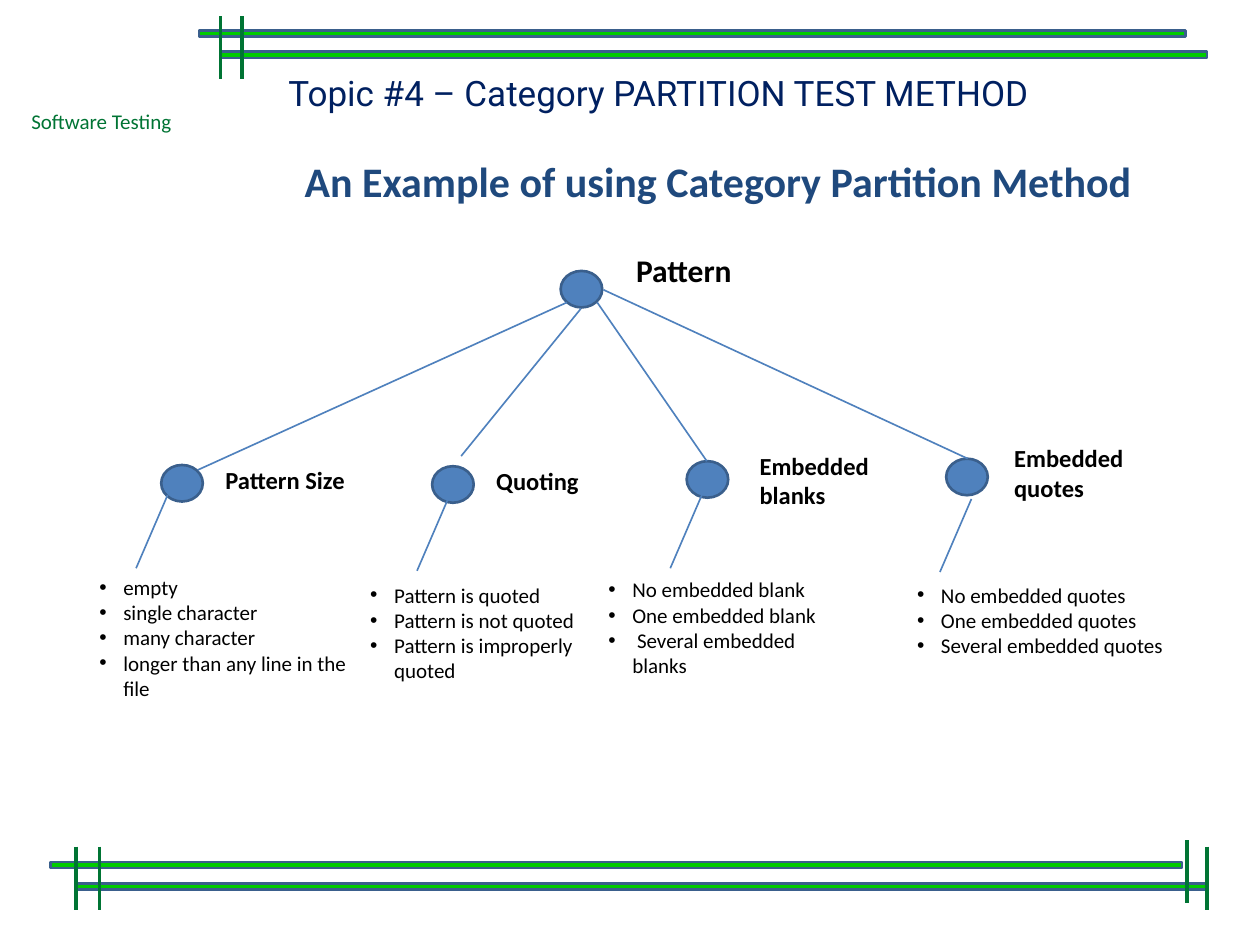
from dataclasses import dataclass

from lxml.etree import SubElement
from pptx import Presentation
from pptx.dml.color import RGBColor
from pptx.enum.shapes import MSO_CONNECTOR, MSO_SHAPE
from pptx.enum.text import MSO_ANCHOR, PP_ALIGN
from pptx.oxml.ns import qn
from pptx.util import Inches, Pt


@dataclass(frozen=True)
class Theme:
    font: str = "Calibri"
    topic_font: str = "Roboto"
    paper: str = "FFFFFF"
    text: str = "000000"
    title: str = "1F497D"
    topic: str = "002060"
    post: str = "007434"
    bar: str = "00CC00"
    node: str = "4F81BD"
    outline: str = "3A5F8C"
    title_size: int = 24
    topic_size: int = 20
    root_size: int = 18
    label_size: int = 14
    body_size: int = 12


def rgb(value):
    return RGBColor.from_string(value)


def add_bullet(p, indent=0.19):
    pPr = p._p.get_or_add_pPr()
    pPr.set("marL", str(Inches(indent)))
    pPr.set("indent", str(-Inches(indent)))
    SubElement(pPr, qn("a:buFont")).set("typeface", "Arial")
    SubElement(pPr, qn("a:buChar")).set("char", "•")


def write_text(tf, lines, *, size, color, font, bold=False, bullet=False,
               align=PP_ALIGN.LEFT, wrap=True):
    tf.word_wrap = wrap
    for i, line in enumerate(lines):
        p = tf.add_paragraph() if i else tf.paragraphs[0]
        p.alignment = align
        if bullet:
            add_bullet(p)
        r = p.add_run()
        r.text = line
        r.font.name = font
        r.font.size = Pt(size)
        r.font.bold = bold
        r.font.color.rgb = rgb(color)


class SlideBuilder:
    def __init__(self, s, theme):
        self.s = s
        self.theme = theme

    def title(self, text, x, y, w, h):
        t = self.theme
        sp = self.s.shapes.title
        sp.left, sp.top, sp.width, sp.height = map(Inches, (x, y, w, h))
        sp.fill.solid()
        sp.fill.fore_color.rgb = rgb(t.paper)
        tf = sp.text_frame
        tf.vertical_anchor = MSO_ANCHOR.MIDDLE
        tf.margin_left = tf.margin_right = Inches(0.16)
        tf.margin_top = tf.margin_bottom = Inches(0.16)
        write_text(tf, [text], size=t.title_size, color=t.title, font=t.font,
                   bold=True, align=PP_ALIGN.CENTER)
        tf.paragraphs[0].line_spacing = 0.9

    def text(self, lines, x, y, w, h, fill=None, **fmt):
        t = self.theme
        sp = self.s.shapes.add_textbox(*map(Inches, (x, y, w, h)))
        if fill:
            sp.fill.solid()
            sp.fill.fore_color.rgb = rgb(fill)
        style = dict(size=t.body_size, color=t.text, font=t.font)
        write_text(sp.text_frame, lines, **{**style, **fmt})

    def shape(self, kind, x, y, w, h, fill):
        sp = self.s.shapes.add_shape(kind, *map(Inches, (x, y, w, h)))
        sp.shadow.inherit = False
        sp.fill.solid()
        sp.fill.fore_color.rgb = rgb(fill)
        sp.line.color.rgb = rgb(self.theme.outline)
        sp.line.width = Pt(1.5)

    def bar(self, x, y, w):
        self.shape(MSO_SHAPE.FLOWCHART_PROCESS, x, y, w, 0.05, self.theme.bar)

    def node(self, x, y):
        self.shape(MSO_SHAPE.OVAL, x, y, 0.33, 0.29, self.theme.node)

    def line(self, start, end, color, width):
        cn = self.s.shapes.add_connector(
            MSO_CONNECTOR.STRAIGHT, *map(Inches, (*start, *end)))
        cn.line.color.rgb = rgb(color)
        cn.line.width = Pt(width)
        SubElement(cn._element.spPr, qn("a:effectLst"))

    def post(self, x, y):
        self.line((x, y), (x, y + 0.5), self.theme.post, 2.25)

    def edge(self, start, end):
        self.line(start, end, self.theme.node, 0.94)


BARS = [(1.58, 0.24, 7.83), (1.75, 0.41, 7.83), (0.4, 6.84, 8.98), (0.6, 7.01, 8.98)]
POSTS = [(1.75, 0.13), (1.92, 0.13), (0.6, 6.72), (0.79, 6.72), (9.58, 6.72), (9.42, 6.67)]

CATEGORIES = [
    dict(node=(1.28, 3.69), edge=((4.5, 2.4), (1.57, 3.73)), stem=(1.33, 3.93),
         label=["Pattern Size"], label_box=(1.69, 3.64, 1.17, 0.34),
         choices=["empty", "single character", "many character",
                  "longer than any line in the file"],
         choice_box=(0.69, 4.51, 2.3, 1.11)),
    dict(node=(3.43, 3.7), edge=((4.61, 2.45), (3.66, 3.62)), stem=(3.56, 3.95),
         label=["Quoting"], label_box=(3.84, 3.65, 0.94, 0.34),
         choices=["Pattern is quoted", "Pattern is not quoted",
                  "Pattern is improperly quoted"],
         choice_box=(2.84, 4.57, 1.94, 0.91)),
    dict(node=(5.45, 3.66), edge=((4.74, 2.4), (5.61, 3.66)), stem=(5.57, 3.93),
         label=["Embedded", "blanks"], label_box=(5.93, 3.53, 1.29, 0.57),
         choices=["No embedded blank", "One embedded blank",
                  " Several embedded blanks"],
         choice_box=(4.73, 4.53, 2.05, 0.91)),
    dict(node=(7.51, 3.64), edge=((4.79, 2.3), (7.68, 3.64)), stem=(7.71, 3.96),
         label=["Embedded", "quotes"], label_box=(7.95, 3.47, 1.29, 0.57),
         choices=["No embedded quotes", "One embedded quotes",
                  "Several embedded quotes"],
         choice_box=(7.18, 4.57, 2.3, 0.71)),
]


def main():
    prs = Presentation()
    prs.slide_width, prs.slide_height = Inches(10), Inches(7.5)
    t = Theme()
    b = SlideBuilder(prs.slides.add_slide(prs.slide_layouts[5]), t)

    b.text(["Software Testing"], 0.15, 0.81, 1.33, 0.3, color=t.post, wrap=False)
    for bar in BARS:
        b.bar(*bar)
    for post in POSTS:
        b.post(*post)
    b.text(["Topic #4 – Category PARTITION TEST METHOD"], 2.19, 0.52, 6.41, 0.44,
           fill=t.paper, size=t.topic_size, color=t.topic, font=t.topic_font)
    b.title("An Example of using Category Partition Method", 1.99, 1.17, 7.42, 0.58)

    b.text(["Pattern"], 4.95, 1.94, 0.97, 0.4, size=t.root_size, bold=True, wrap=False)
    b.node(4.45, 2.15)
    for c in CATEGORIES:
        b.node(*c["node"])
        b.text(c["label"], *c["label_box"], size=t.label_size, bold=True)
        b.text(c["choices"], *c["choice_box"], bullet=True)
        b.edge(*c["edge"])
        x, y = c["stem"]
        b.edge((x, y), (x - 0.25, y + 0.58))

    prs.save("out.pptx")


if __name__ == "__main__":
    main()
